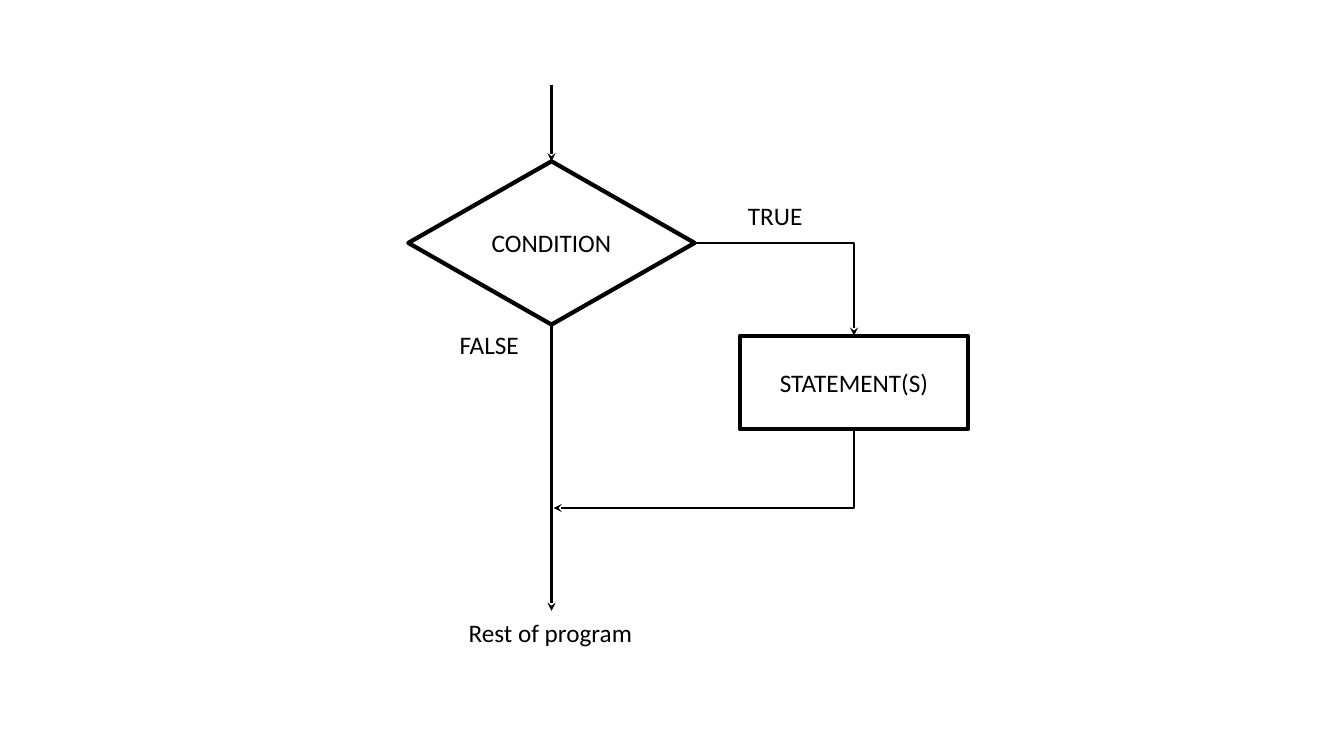
from lxml.etree import SubElement
from pptx import Presentation
from pptx.dml.color import RGBColor
from pptx.enum.shapes import MSO_CONNECTOR, MSO_SHAPE
from pptx.enum.text import MSO_ANCHOR, MSO_AUTO_SIZE, PP_ALIGN
from pptx.oxml.ns import qn
from pptx.util import Emu, Pt

TOP, LEFT, BOTTOM, RIGHT = range(4)


def px(length):
    return Emu(length * 9144)


def color(value):
    return RGBColor.from_string(value)


def write(shape, text, font="Calibri", size=18, ink="000000", align=PP_ALIGN.LEFT,
          anchor=MSO_ANCHOR.TOP, wrap=True):
    frame = shape.text_frame
    frame.word_wrap = wrap
    frame.vertical_anchor = anchor
    paragraph = frame.paragraphs[0]
    paragraph.alignment = align
    run = paragraph.add_run()
    run.text = text
    run.font.name = font
    run.font.size = Pt(size)
    run.font.color.rgb = color(ink)


class Flowchart:
    ink = "000000"
    border = 3
    stroke = 1.5

    def __init__(self, slide):
        self.slide = slide

    def box(self, kind, text, left, top, width, height):
        shape = self.slide.shapes.add_shape(kind, px(left), px(top), px(width), px(height))
        shape.shadow.inherit = False
        shape.fill.background()
        shape.line.color.rgb = color(self.ink)
        shape.line.width = Pt(self.border)
        write(shape, text, ink=self.ink, align=PP_ALIGN.CENTER, anchor=MSO_ANCHOR.MIDDLE)
        return shape

    def label(self, text, left, top, width, height=40):
        shape = self.slide.shapes.add_textbox(px(left), px(top), px(width), px(height))
        write(shape, text, ink=self.ink, wrap=False)
        shape.text_frame.auto_size = MSO_AUTO_SIZE.SHAPE_TO_FIT_TEXT

    def arrow(self, start, end, kind=MSO_CONNECTOR.STRAIGHT):
        connector = self.slide.shapes.add_connector(kind, *map(px, start + end))
        connector.line.color.rgb = color(self.ink)
        connector.line.width = Pt(self.stroke)
        SubElement(connector.line._get_or_add_ln(), qn("a:tailEnd"), type="stealth")
        SubElement(connector._element.spPr, qn("a:effectLst"))
        return connector

    def right_then_down(self, start, end):
        connector = self.arrow(start, end, MSO_CONNECTOR.ELBOW)
        connector._element.spPr.find(qn("a:prstGeom")).set("prst", "bentConnector2")
        return connector

    def down_then_left(self, start, end):
        across, down = start[0] - end[0], end[1] - start[1]
        middle_x, middle_y = (start[0] + end[0]) / 2, (start[1] + end[1]) / 2
        left, top = round(middle_x - down / 2), round(middle_y - across / 2)
        connector = self.right_then_down((left, top), (left + down, top + across))
        connector._element.spPr.find(qn("a:xfrm")).set("rot", str(90 * 60000))
        return connector


def main():
    presentation = Presentation()
    presentation.slide_width, presentation.slide_height = px(1333), px(750)
    slide = presentation.slides.add_slide(presentation.slide_layouts[6])
    chart = Flowchart(slide)

    condition = chart.box(MSO_SHAPE.DIAMOND, "CONDITION", 405, 160, 284, 162)
    statement = chart.box(MSO_SHAPE.RECTANGLE, "STATEMENT(S)", 734, 333, 226, 93)

    true_branch = chart.right_then_down((689, 241), (847, 333))
    true_branch.begin_connect(condition, RIGHT)
    true_branch.end_connect(statement, TOP)
    chart.down_then_left((847, 426), (549, 504))
    chart.arrow((547, 322), (547, 606)).begin_connect(condition, BOTTOM)
    chart.arrow((547, 84), (547, 160)).end_connect(condition, TOP)

    chart.label("TRUE", 732, 194, 76)
    chart.label("FALSE", 446, 322, 79)
    chart.label("Rest of program", 455, 608, 184)

    presentation.save("out.pptx")


if __name__ == "__main__":
    main()
